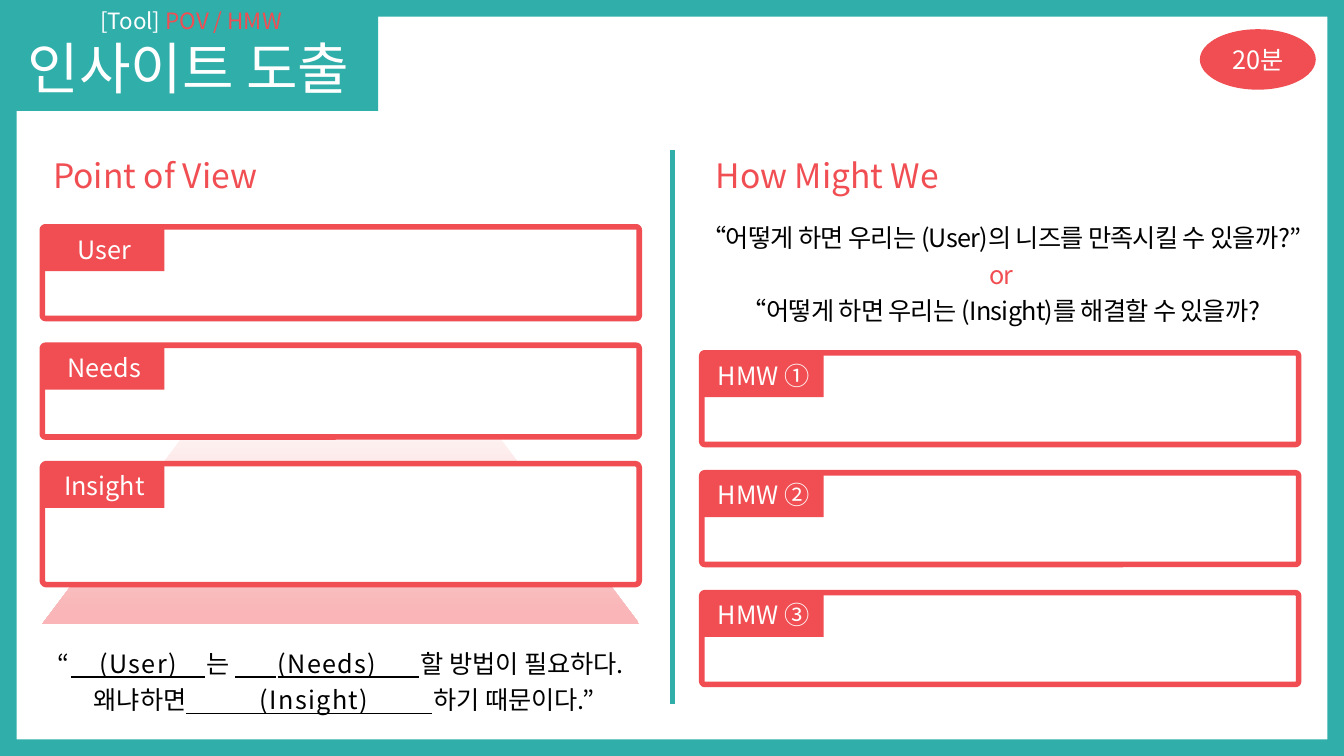
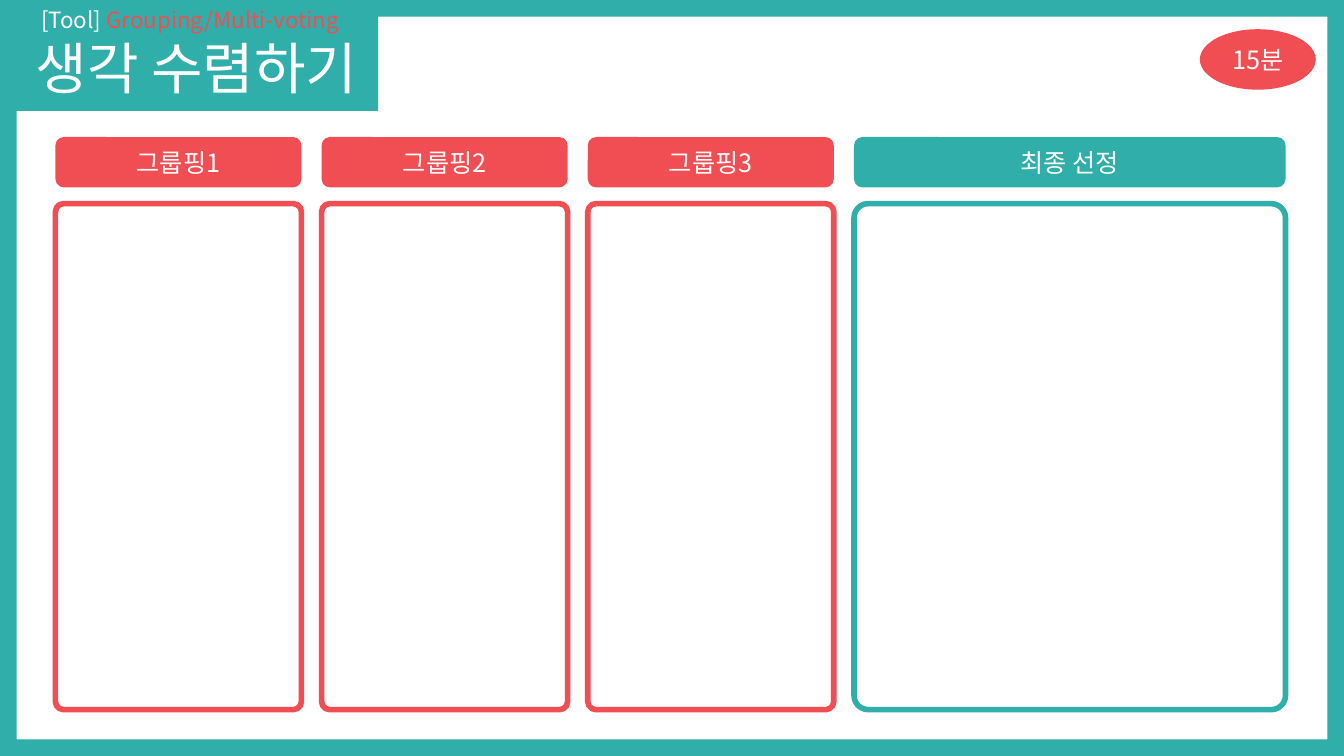
from dataclasses import dataclass

from lxml.etree import SubElement
from pptx import Presentation
from pptx.dml.color import RGBColor
from pptx.enum.shapes import MSO_CONNECTOR, MSO_SHAPE
from pptx.enum.text import MSO_ANCHOR, MSO_AUTO_SIZE, PP_ALIGN
from pptx.oxml.ns import qn
from pptx.util import Inches, Pt


@dataclass(frozen=True)
class Theme:
    font: str = "Noto Sans CJK KR"
    teal: RGBColor = RGBColor(0x30, 0xAE, 0xAA)
    coral: RGBColor = RGBColor(0xF0, 0x4E, 0x52)
    pink: RGBColor = RGBColor(0xF9, 0xB5, 0xB7)
    white: RGBColor = RGBColor(0xFF, 0xFF, 0xFF)
    black: RGBColor = RGBColor(0, 0, 0)
    title: int = 40
    heading: int = 24
    body: int = 18
    tag: int = 16
    border: int = 4
    divider: int = 3
    corner: float = 0.033


class Deck:
    def __init__(self, theme):
        self.theme = theme
        self.prs = Presentation()
        self.prs.slide_width = Inches(13.33)
        self.prs.slide_height = Inches(7.5)
        self.s = None

    def add_run(self, p, text, size, color, spacing=0, underline=False):
        r = p.add_run()
        r.text = text
        r.font.size = Pt(size)
        r.font.color.rgb = color
        r.font.name = self.theme.font
        if underline:
            r.font.underline = True
        rPr = r.font._element
        SubElement(rPr, qn("a:ea")).set("typeface", self.theme.font)
        if spacing:
            rPr.set("spc", str(int(spacing * 100)))

    def fill_text(self, tf, lines, size, align=PP_ALIGN.CENTER, anchor=MSO_ANCHOR.MIDDLE,
                  line_spacing=None, before=None, wrap=True, auto_size=MSO_AUTO_SIZE.NONE):
        tf.word_wrap = wrap
        tf.auto_size = auto_size
        tf.vertical_anchor = anchor
        for i, runs in enumerate(lines):
            p = tf.add_paragraph() if i else tf.paragraphs[0]
            p.alignment = align
            if line_spacing:
                p.line_spacing = line_spacing
            if before:
                p.space_before = Pt(before)
            for text, color, *style in runs:
                self.add_run(p, text, size, color, *style)

    def shape(self, kind, x, y, w, h, fill=None, line=None, adj=None, label=None):
        t = self.theme
        sp = self.s.shapes.add_shape(kind, Inches(x), Inches(y), Inches(w), Inches(h))
        sp.shadow.inherit = False
        if adj is not None:
            sp.adjustments[0] = adj
        if fill is not None:
            sp.fill.solid()
            sp.fill.fore_color.rgb = fill
        if line is None:
            sp.line.fill.background()
        else:
            sp.line.color.rgb = line
            sp.line.width = Pt(t.border)
        if label:
            self.fill_text(sp.text_frame, [[(label, t.white)]], t.body)
        return sp

    def text(self, x, y, w, h, lines, size, **style):
        sp = self.s.shapes.add_textbox(Inches(x), Inches(y), Inches(w), Inches(h))
        self.fill_text(sp.text_frame, lines, size, **style)

    def heading(self, x, y, w, text):
        t = self.theme
        self.text(x, y, w, 0.5, [[(text, t.coral)]], t.heading, align=PP_ALIGN.LEFT,
                  anchor=MSO_ANCHOR.TOP, before=6, wrap=False,
                  auto_size=MSO_AUTO_SIZE.SHAPE_TO_FIT_TEXT)

    def sentence(self, x, y, h, lines):
        self.text(x, y, 6.52, h, lines, self.theme.body, anchor=MSO_ANCHOR.TOP,
                  line_spacing=1.2, auto_size=MSO_AUTO_SIZE.SHAPE_TO_FIT_TEXT)

    def panel(self, x, y, w, h, color):
        self.shape(MSO_SHAPE.ROUNDED_RECTANGLE, x, y, w, h, self.theme.white, color,
                   self.theme.corner)

    def labelled_panel(self, x, y, h, label):
        t = self.theme
        self.panel(x, y, 5.92, h, t.coral)
        self.shape(MSO_SHAPE.RECTANGLE, x + 0.02, y, 1.19, 0.44, t.coral, label=label)

    def column(self, x, w, label, color):
        self.shape(MSO_SHAPE.ROUNDED_RECTANGLE, x, 1.36, w, 0.5, color, label=label)
        self.panel(x, 2.02, w, 5.02, color)

    def gradient_triangle(self, x, y, w, h):
        t = self.theme
        sp = self.shape(MSO_SHAPE.ISOSCELES_TRIANGLE, x, y, w, h)
        sp.fill.gradient()
        sp.fill.gradient_angle = 270
        for stop, position, color in zip(sp.fill.gradient_stops, (0.42, 0.98), (t.white, t.pink)):
            stop.position = position
            stop.color.rgb = color

    def divider(self, x, top, bottom):
        t = self.theme
        c = self.s.shapes.add_connector(MSO_CONNECTOR.STRAIGHT, Inches(x), Inches(top),
                                        Inches(x), Inches(bottom))
        c.line.color.rgb = t.teal
        c.line.width = Pt(t.divider)
        SubElement(c._element.spPr, qn("a:effectLst"))

    def slide(self, title, tool, minutes, title_x, tag_box):
        t = self.theme
        self.s = self.prs.slides.add_slide(self.prs.slide_layouts[5])
        self.shape(MSO_SHAPE.FRAME, 0, 0, 13.33, 7.5, t.teal, adj=0.022)
        self.shape(MSO_SHAPE.RECTANGLE, 0, 0, 3.75, 1.1, t.teal)
        sp = self.s.shapes.title
        sp.left, sp.top = Inches(title_x), Inches(0.2)
        sp.width, sp.height = Inches(3.74 - title_x), Inches(0.86)
        self.fill_text(sp.text_frame, [[(title, t.white)]], t.title,
                       anchor=MSO_ANCHOR.BOTTOM, line_spacing=0.9)
        self.s.shapes._spTree.append(sp._element)
        self.text(*tag_box, [[("[Tool] ", t.white), (tool, t.coral)]], t.tag)
        self.shape(MSO_SHAPE.OVAL, 11.9, 0.29, 1.15, 0.6, t.coral, label=minutes)


def insight_slide(deck):
    t = deck.theme
    deck.slide("인사이트 도출", "POV / HMW", "20분", 0, (0.26, 0.03, 3.27, 0.35))
    deck.divider(6.67, 1.49, 6.98)

    deck.heading(0.43, 1.49, 2.44, "Point of View")
    deck.gradient_triangle(0.42, 2.25, 5.92, 3.94)
    for i, (label, h) in enumerate((("User", 0.91), ("Needs", 0.91), ("Insight", 1.2))):
        deck.labelled_panel(0.42, 2.25 + i * 1.175, h, label)
    deck.sentence(0.15, 6.32, 0.83, [
        [("“", t.black, 1), ("    (User)    ", t.black, 1, True), ("는 ", t.black),
         ("      (Needs)      ", t.black, 1, True), ("할 방법이 필요하다. ", t.black)],
        [("왜냐하면", t.black), ("             ", t.black, 0, True),
         ("(Insight)         ", t.black, 1, True), ("하기 때문이다.”", t.black)],
    ])

    deck.heading(7, 1.49, 2.66, "How Might We")
    deck.sentence(6.67, 2.1, 1.19, [
        [("“어떻게 하면 우리는 (User)의 니즈를 만족시킬 수 있을까?”", t.black, -0.5)],
        [("or", t.coral, -0.5)],
        [("“어떻게 하면 우리는 (Insight)를 해결할 수 있을까?", t.black, -0.5)],
    ])
    for i, number in enumerate("①②③"):
        deck.labelled_panel(6.96, 3.5 + i * 1.19, 0.91, f"HMW {number}")


def grouping_slide(deck):
    t = deck.theme
    deck.slide("생각 수렴하기", "Grouping/Multi-voting", "15분", 0.16, (0.19, 0.01, 3.39, 0.36))
    left, width, gap = 0.55, 2.44, 0.2
    for i in range(3):
        deck.column(left + i * (width + gap), width, f"그룹핑{i + 1}", t.coral)
    deck.column(left + 3 * (width + gap), 4.28, "최종 선정", t.teal)


def main():
    deck = Deck(Theme())
    insight_slide(deck)
    grouping_slide(deck)
    deck.prs.save("out.pptx")


if __name__ == "__main__":
    main()
